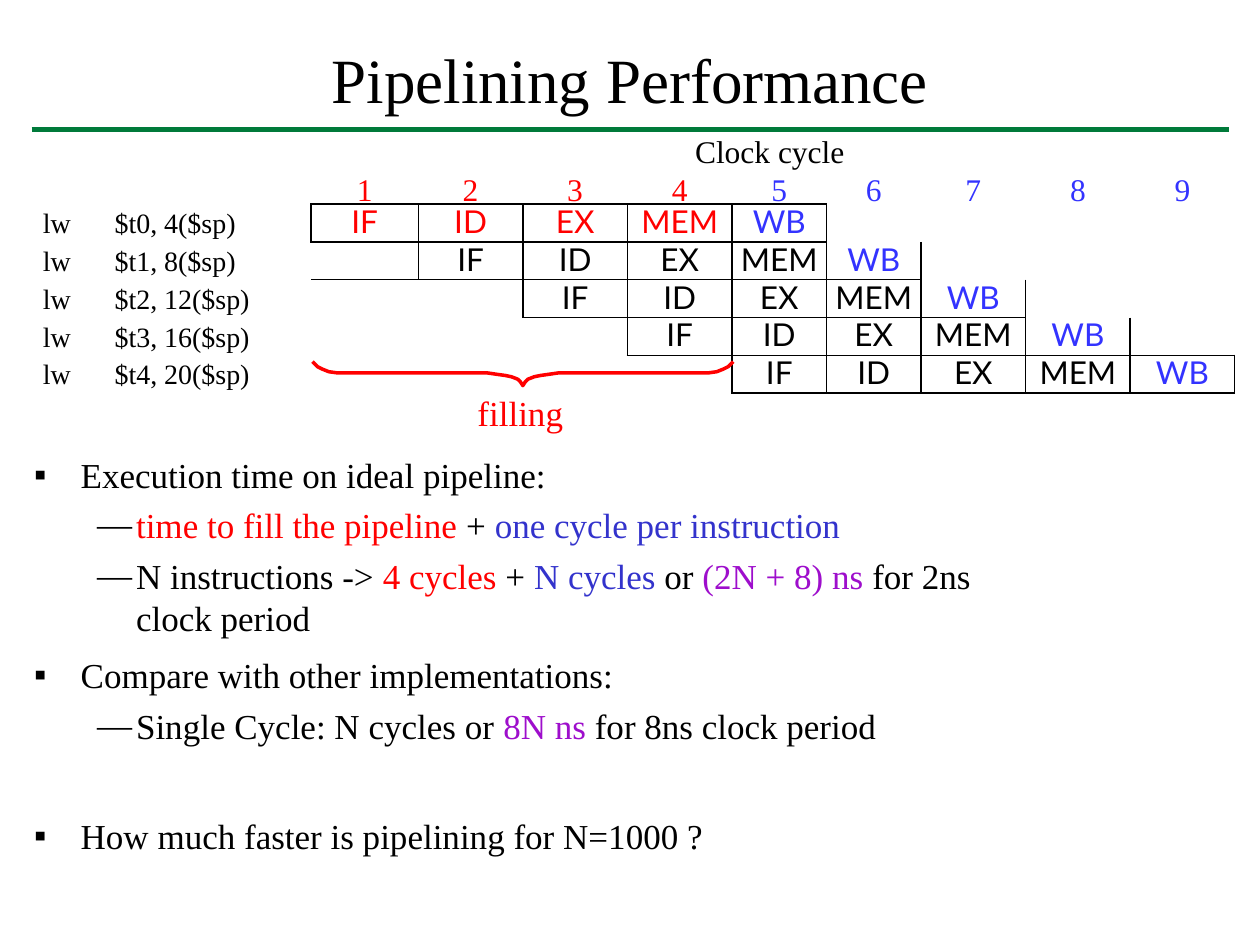
import itertools

import pptx
import pptx.dml.color
import pptx.enum.shapes
import pptx.enum.text
import pptx.oxml
import pptx.oxml.ns
import pptx.util

CENTER = pptx.enum.text.PP_ALIGN.CENTER
LEFT = pptx.enum.text.PP_ALIGN.LEFT
BLACK, RED, GREEN = "000000", "FF0000", "007A3A"
BLUE, NAVY, PURPLE = "3333FF", "3333CC", "9E0ECC"
NO_TABLE_STYLE = "{2D5ABB26-0587-4C30-8999-92F81FD0307C}"

STAGES = ["IF", "ID", "EX", "MEM", "WB"]
COLUMN_WIDTHS = [8.5, 8.3, 8.3, 8.3, 7.5, 7.5, 8.3, 8.3, 8.3]
ROW_HEIGHT = 3
TABLE_LEFT, TABLE_TOP = 24.7, 16.2
LOADS = ["$t0, 4($sp)", "$t1, 8($sp)", "$t2, 12($sp)", "$t3, 16($sp)", "$t4, 20($sp)"]
BULLETS = [("▪", 3.9, -3.7), ("—", 8.3, -3.1)]

EXECUTION = [
    (0, 0, [("Execution time on ideal pipeline:", BLACK)]),
    (1, 4.8, [("time to fill the pipeline ", RED), ("+ ", BLACK),
              ("one cycle per instruction", NAVY)]),
    (1, 4.8, [("N instructions -> ", BLACK), ("4 cycles ", RED), ("+ ", BLACK),
              ("N cycles ", NAVY), ("or ", BLACK), ("(2N + 8) ns ", PURPLE),
              ("for 2ns clock period", BLACK)]),
]
COMPARISON = [
    (0, 0, [("Compare with other implementations:", BLACK)]),
    (1, 4.8, [("Single Cycle: N cycles or ", BLACK), ("8N ns ", PURPLE),
              ("for 8ns clock period", BLACK)]),
    (0, 39, [("How much faster is pipelining for N=1000 ?", BLACK)]),
]
HALF_BRACE = [(16.7, 0), (16.3, 0.4), (15.9, 0.6), (15.4, 0.8), (14.7, 0.9), (14, 0.9),
              (2.8, 0.9), (2.1, 1), (1.4, 1.1), (0.9, 1.2), (0.4, 1.4), (0.2, 1.6), (0, 1.9)]


def color(value):
    """Turn a hex string into a colour."""
    return pptx.dml.color.RGBColor.from_string(value)


def grid(units):
    """Turn grid units, a hundredth of the slide's width each, into a length."""
    return pptx.util.Inches(units / 10)


def write(paragraph, text, font="Times New Roman", size=20, fill=BLACK,
          align=LEFT, line=None, before=0):
    """Write a string, or (text, colour) pairs, into a paragraph."""
    paragraph.alignment = align
    paragraph.space_before = pptx.util.Pt(before)
    if line:
        paragraph.line_spacing = pptx.util.Pt(line)
    for words, run_color in [(text, fill)] if isinstance(text, str) else text:
        run = paragraph.add_run()
        run.text = words
        run.font.name = font
        run.font.size = pptx.util.Pt(size)
        run.font.color.rgb = color(run_color)


def add_xml(parent, markup):
    """Append one drawing element to its parent."""
    name, rest = markup.split(" ", 1)
    namespace = pptx.oxml.ns.nsdecls("a")
    parent.append(pptx.oxml.parse_xml(f"<a:{name} {namespace} {rest}"))


class SlideBuilder:
    """Hold the style and the current slide."""

    def __init__(self, presentation):
        """Start a title-only slide."""
        self.slide = presentation.slides.add_slide(presentation.slide_layouts[5])
        self.shapes = self.slide.shapes

    def prepare(self, frame):
        """Strip a frame's margins and make it wrap from the top."""
        frame.word_wrap = True
        frame.auto_size = pptx.enum.text.MSO_AUTO_SIZE.NONE
        frame.vertical_anchor = pptx.enum.text.MSO_ANCHOR.TOP
        frame.margin_left = frame.margin_top = frame.margin_right = frame.margin_bottom = 0
        return frame

    def title(self, text, left, top, width, height):
        """Place and fill the title placeholder."""
        shape = self.shapes.title
        shape.left, shape.top, shape.width, shape.height = map(grid, (left, top, width, height))
        write(self.prepare(shape.text_frame).paragraphs[0], text, size=36, align=CENTER)

    def frame(self, left, top, width, height):
        """Add a text box and return its frame."""
        box = self.shapes.add_textbox(*map(grid, (left, top, width, height)))
        return self.prepare(box.text_frame)

    def label(self, text, center, top, width, **style):
        """Add a one-line label centred on a point."""
        frame = self.frame(center - width / 2, top, width, 3.3)
        write(frame.paragraphs[0], text, align=CENTER, **style)

    def rule(self, left, top, width, stroke, weight):
        """Draw a horizontal line."""
        line = self.shapes.add_connector(pptx.enum.shapes.MSO_CONNECTOR.STRAIGHT,
                                         *map(grid, (left, top, left + width, top)))
        line.line.color.rgb = color(stroke)
        line.line.width = pptx.util.Pt(weight)
        add_xml(line._element.spPr, "effectLst />")

    def brace(self, center, top, stroke, weight):
        """Draw a downward brace from one mirrored half."""
        right = [(center + x, top + y) for x, y in HALF_BRACE]
        left = [(center - x, top + y) for x, y in reversed(HALF_BRACE[:-1])]
        points = [(grid(x), grid(y)) for x, y in right + left]
        builder = self.shapes.build_freeform(*points[0])
        builder.add_line_segments(points[1:], close=False)
        shape = builder.convert_to_shape()
        shape.shadow.inherit = False
        shape.fill.background()
        shape.line.color.rgb = color(stroke)
        shape.line.width = pptx.util.Pt(weight)

    def bullets(self, items, left, top, width, height):
        """Add a two-level bulleted list."""
        frame = self.frame(left, top, width, height)
        for index, (level, before, runs) in enumerate(items):
            paragraph = frame.add_paragraph() if index else frame.paragraphs[0]
            character, margin, indent = BULLETS[level]
            paragraph.level = level
            properties = paragraph._p.get_or_add_pPr()
            properties.set("marL", str(grid(margin)))
            properties.set("indent", str(grid(indent)))
            add_xml(properties, f'buClr ><a:srgbClr val="{BLACK}"/></a:buClr>')
            add_xml(properties, 'buFont typeface="Times New Roman"/>')
            add_xml(properties, f'buChar char="{character}"/>')
            write(paragraph, runs, line=24, before=before)

    def instructions(self, loads, left, top, width, tab):
        """List the load instructions, one to a table row."""
        frame = self.frame(left, top, width, ROW_HEIGHT * len(loads))
        for index, operands in enumerate(loads):
            paragraph = frame.add_paragraph() if index else frame.paragraphs[0]
            add_xml(paragraph._p.get_or_add_pPr(),
                    f'tabLst ><a:tab pos="{grid(tab)}" algn="l"/></a:tabLst>')
            write(paragraph, f"lw\t{operands}", size=16, line=21.6)

    def borders(self, cell, sides):
        """Draw black lines on the named sides of a cell."""
        for side in sides:
            add_xml(cell._tc.get_or_add_tcPr(),
                    f'ln{side} w="12700"><a:solidFill><a:srgbClr val="{BLACK}"/>'
                    f'</a:solidFill></a:ln{side}>')

    def pipeline(self, left, top):
        """Add the staircase table of pipeline stages."""
        rows, columns = len(LOADS), len(COLUMN_WIDTHS)
        table = self.shapes.add_table(rows, columns, *map(grid, (
            left, top, sum(COLUMN_WIDTHS), rows * ROW_HEIGHT))).table
        table.first_row = table.horz_banding = False
        table._tbl.tblPr.find(pptx.oxml.ns.qn("a:tableStyleId")).text = NO_TABLE_STYLE
        for column, width in zip(table.columns, COLUMN_WIDTHS):
            column.width = grid(width)
        for row in table.rows:
            row.height = grid(ROW_HEIGHT)
        for row, column in itertools.product(range(rows), range(columns)):
            cell, stage = table.cell(row, column), column - row
            cell.margin_left = cell.margin_top = cell.margin_right = cell.margin_bottom = 0
            text, fill = "", BLACK
            if 0 <= stage < len(STAGES):
                text = STAGES[stage]
                fill = BLUE if text == "WB" else BLACK if row else RED
                open_top = text == "WB" and 0 < row < rows - 1
                self.borders(cell, "LRB" if open_top else "LRTB")
            elif (row, column) in [(1, 0), (rows - 2, columns - 1)]:
                self.borders(cell, "B")
            write(cell.text_frame.paragraphs[0], text, font="Lato", size=18,
                  fill=fill, align=CENTER, line=20.6)
            cell.fill.background()
        for row in range(rows):
            for first, last in [(0, row - 1), (row + len(STAGES), columns - 1)]:
                if first < last:
                    table.cell(row, first).merge(table.cell(row, last))


def main():
    """Build the slide and save it."""
    presentation = pptx.Presentation()
    presentation.slide_width, presentation.slide_height = grid(100), grid(75)
    builder = SlideBuilder(presentation)
    builder.title("Pipelining Performance", 2.5, 3.2, 95, 6)
    builder.rule(2.5, 10.3, 95, GREEN, 3)
    builder.label("Clock cycle", 61.1, 10.5, 16, size=18)
    edges = itertools.accumulate(COLUMN_WIDTHS, initial=TABLE_LEFT)
    for cycle, (edge, width) in enumerate(zip(edges, COLUMN_WIDTHS), start=1):
        builder.label(str(cycle), edge + width / 2, 13.5, 3, size=18,
                      fill=RED if cycle < len(STAGES) else BLUE)
    builder.instructions(LOADS, 3.4, 16, 18, 5.7)
    builder.pipeline(TABLE_LEFT, TABLE_TOP)
    builder.brace(41.5, 28.7, RED, 2)
    builder.label("filling", 41.3, 31.1, 10, fill=RED)
    builder.bullets(EXECUTION, 2.5, 36, 77.5, 15)
    builder.bullets(COMPARISON, 2.5, 51.9, 77.5, 17)
    presentation.save("out.pptx")


if __name__ == "__main__":
    main()
